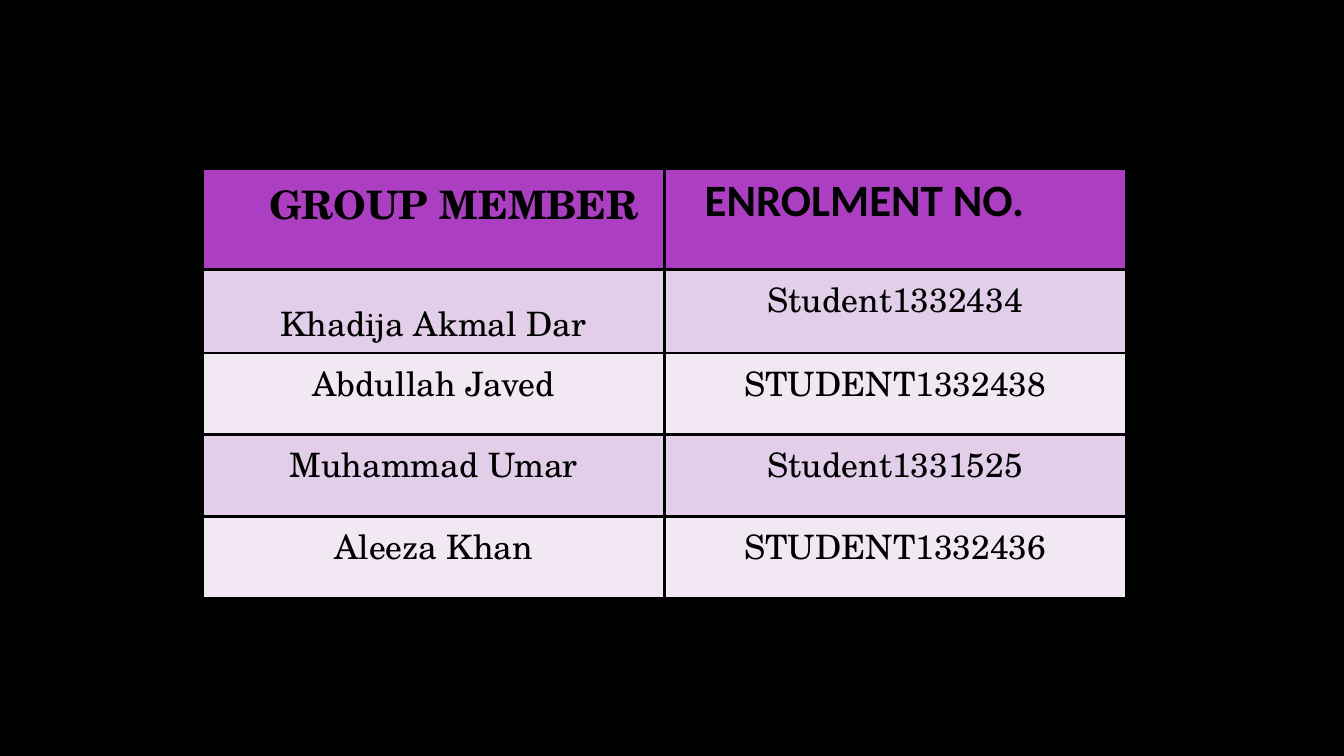
import pptx
import pptx.dml.color
import pptx.enum.text
import pptx.oxml
import pptx.oxml.ns
import pptx.util

Inches = pptx.util.Inches
Pt = pptx.util.Pt
Align = pptx.enum.text.PP_ALIGN

SERIF = "TeX Gyre Schola"
BLACK = "000000"
HEADER_FILL = "AC3EC1"
BAND_FILLS = ("E3CEE9", "F1E8F4")
COLUMN_WIDTH = 4.58
HEADER_HEIGHT, MEMBER_HEIGHT = 1.0, 0.81

# Title, font, size, left margin
HEADERS = [
    ("GROUP MEMBER", SERIF, 28, 0.66),
    ("ENROLMENT NO.", "Calibri", 32, 0.4),
]
MEMBERS = [
    ("Khadija Akmal Dar", "Student1332434"),
    ("Abdullah Javed", "STUDENT1332438"),
    ("Muhammad Umar", "Student1331525"),
    ("Aleeza Khan", "STUDENT1332436"),
]


def color(value):
    return pptx.dml.color.RGBColor.from_string(value)


def add_borders(cell, value, width):
    properties = cell._tc.get_or_add_tcPr()
    for position, side in enumerate(("lnL", "lnR", "lnT", "lnB")):
        border = pptx.oxml.parse_xml(
            f'<a:{side} {pptx.oxml.ns.nsdecls("a")} w="{Pt(width)}">'
            f'<a:solidFill><a:srgbClr val="{value}"/></a:solidFill></a:{side}>'
        )
        properties.insert(position, border)


def fill_cell(cell, text, fill, font_name, size, bold, align):
    cell.fill.solid()
    cell.fill.fore_color.rgb = color(fill)
    add_borders(cell, BLACK, 2.25)
    cell.text = text
    paragraph = cell.text_frame.paragraphs[0]
    paragraph.alignment = align
    font = paragraph.font
    font.name, font.size, font.bold = font_name, Pt(size), bold
    font.color.rgb = color(BLACK)


def add_member_table(slide):
    height = HEADER_HEIGHT + MEMBER_HEIGHT * len(MEMBERS)
    table = slide.shapes.add_table(
        len(MEMBERS) + 1, len(HEADERS), Inches(2.01), Inches(1.67),
        Inches(COLUMN_WIDTH * len(HEADERS)), Inches(height),
    ).table
    for column in table.columns:
        column.width = Inches(COLUMN_WIDTH)
    for index, row in enumerate(table.rows):
        row.height = Inches(MEMBER_HEIGHT if index else HEADER_HEIGHT)

    for column, (title, font_name, size, margin) in enumerate(HEADERS):
        cell = table.cell(0, column)
        fill_cell(cell, title, HEADER_FILL, font_name, size, True, Align.LEFT)
        cell.margin_left = Inches(margin)
    for row, member in enumerate(MEMBERS):
        for column, text in enumerate(member):
            fill_cell(table.cell(row + 1, column), text, BAND_FILLS[row % 2],
                      SERIF, 24, False, Align.CENTER)
    first_name = table.cell(1, 0).text_frame.paragraphs[0]
    first_name.line_spacing = 1.5


def main():
    deck = pptx.Presentation()
    deck.slide_width, deck.slide_height = Inches(13.33), Inches(7.5)
    slide = deck.slides.add_slide(deck.slide_layouts[6])
    slide.background.fill.solid()
    slide.background.fill.fore_color.rgb = color(BLACK)
    add_member_table(slide)
    deck.save("out.pptx")


if __name__ == "__main__":
    main()
